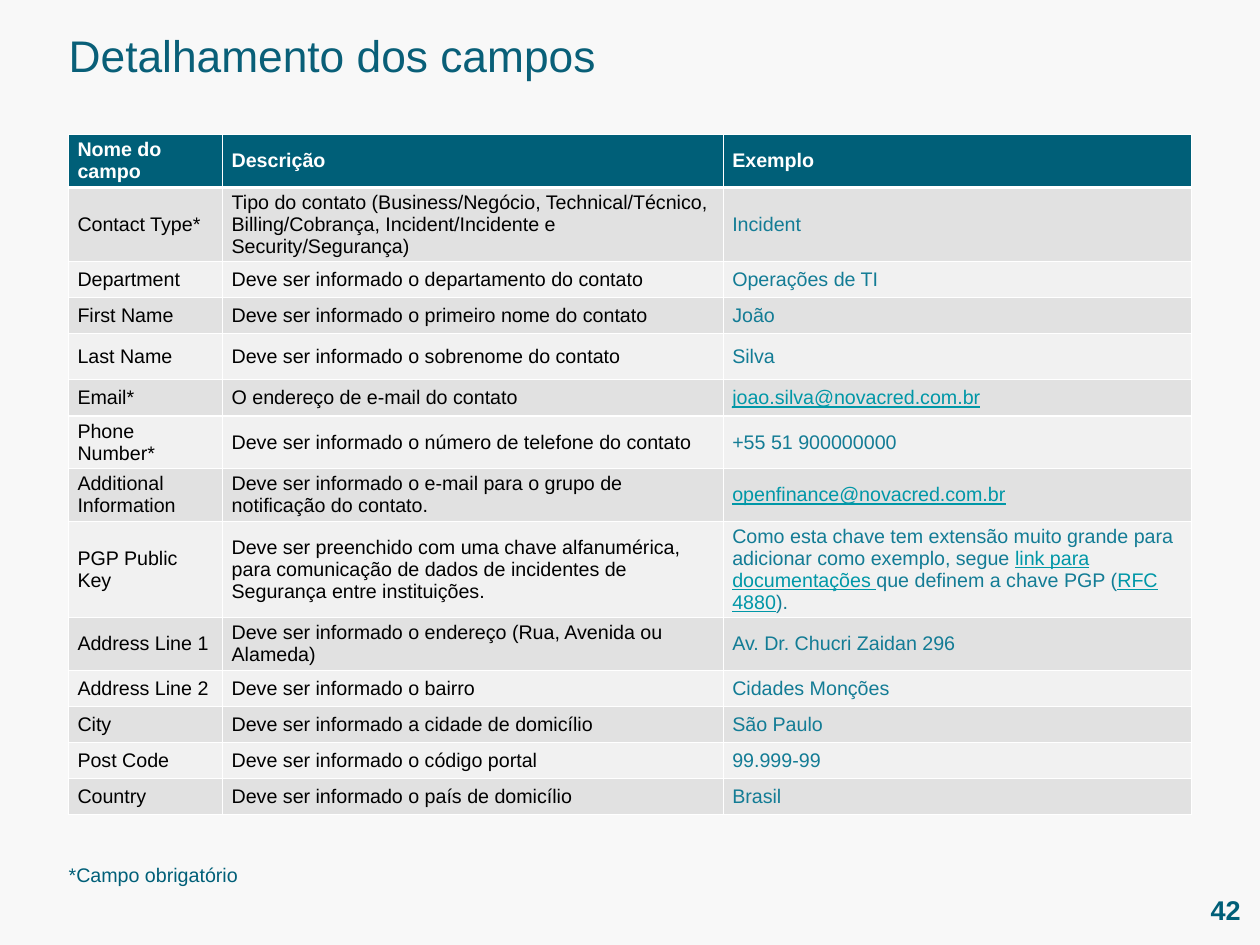
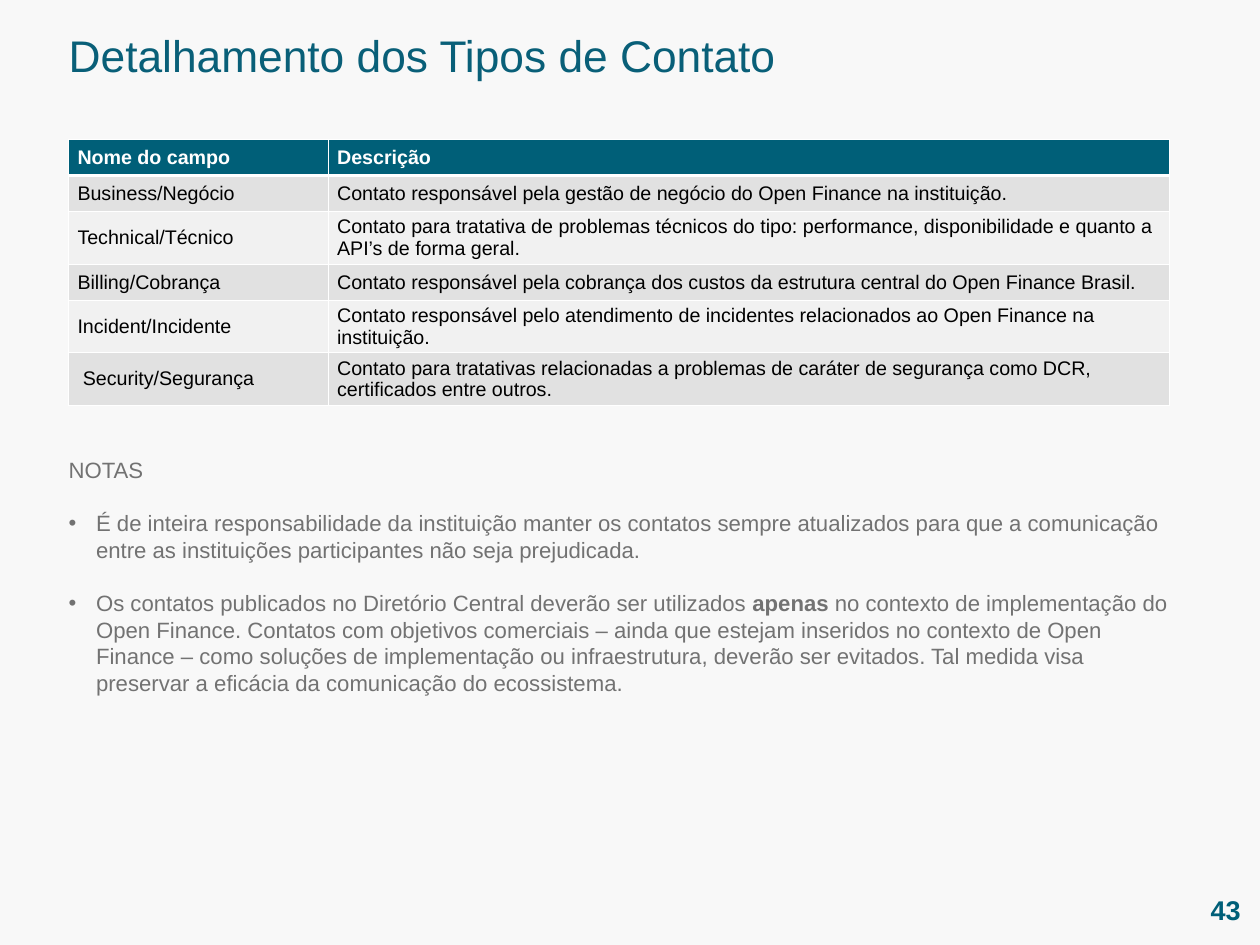
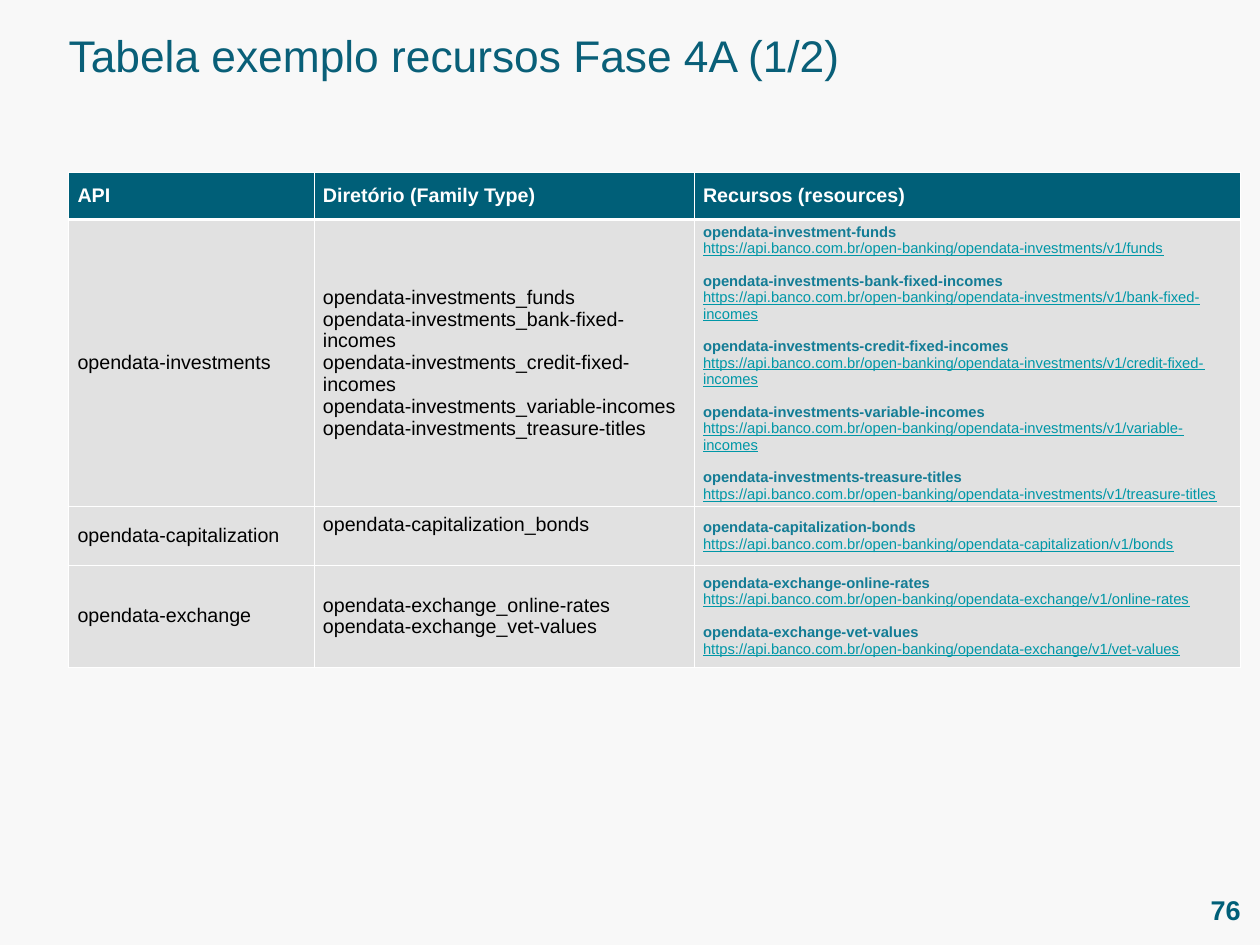
from dataclasses import dataclass

from lxml.etree import SubElement
from pptx import Presentation
from pptx.dml.color import RGBColor
from pptx.enum.text import MSO_ANCHOR as Anchor, PP_ALIGN as Align
from pptx.oxml.ns import qn
from pptx.util import Inches, Pt

SLIDE_WIDTH, SLIDE_HEIGHT = 14.22, 10.67
FONT = "Arial"
BACKGROUND, TITLE, PETROL, WHITE = "F8F8F8", "095F78", "005F78", "FFFFFF"
BLACK, TEAL, LINK, GRAY = "000000", "137C95", "0097A7", "727272"
BANDS = ("E1E1E1", "F1F1F1")
LEFT = 5.45  # shared left margin, percent of the slide width
ROW = 3.82  # usual table row, percent of the slide height
TALL_ROW = 4.87
CELL_LEADING = 1.11  # line height in tables, as a share of the text size


@dataclass
class Style:
    size: int
    color: str
    bold: bool = False
    underline: bool = False


TITLE_STYLE = Style(36, TITLE)
NUMBER_STYLE = Style(22, PETROL, bold=True)
FOOTNOTE_STYLE = Style(16, PETROL)
HEADER_STYLE = Style(16, WHITE, bold=True)
CELL_STYLE = Style(16, BLACK)
EXAMPLE_STYLE = Style(16, TEAL)
LINK_STYLE = Style(16, LINK, underline=True)
RESOURCE_STYLE = Style(12, TEAL, bold=True)
URL_STYLE = Style(12, LINK, underline=True)
NOTE_STYLE = Style(18, GRAY)
STRONG_NOTE_STYLE = Style(18, GRAY, bold=True)


@dataclass
class Box:
    """A region given in percent of the slide's width and height."""
    left: float
    top: float
    width: float
    height: float

    def lengths(self):
        return across(self.left), down(self.top), across(self.width), down(self.height)


def across(percent):
    return Inches(SLIDE_WIDTH * percent / 100)


def down(percent):
    return Inches(SLIDE_HEIGHT * percent / 100)


def rgb(color):
    return RGBColor.from_string(color)


# Text
def write(text_frame, paragraphs, style):
    """Each paragraph is a string or a list of (text, style) runs."""
    for index, content in enumerate(paragraphs):
        paragraph = text_frame.paragraphs[0] if index == 0 else text_frame.add_paragraph()
        runs = [(content, style)] if isinstance(content, str) else content
        for text, run_style in runs:
            run = paragraph.add_run()
            run.text = text
            font = run.font
            font.name, font.size = FONT, Pt(run_style.size)
            font.bold, font.underline = run_style.bold, run_style.underline
            font.color.rgb = rgb(run_style.color)


def add_text(slide, box, paragraphs, style, anchor=Anchor.TOP, align=Align.LEFT):
    text_frame = slide.shapes.add_textbox(*box.lengths()).text_frame
    text_frame.word_wrap = True
    text_frame.vertical_anchor = anchor
    text_frame.margin_left = text_frame.margin_right = 0
    text_frame.margin_top = text_frame.margin_bottom = 0
    write(text_frame, paragraphs, style)
    for paragraph in text_frame.paragraphs:
        paragraph.alignment = align
    return text_frame


def add_bullet(paragraph):
    properties = paragraph._p.get_or_add_pPr()
    indent = Inches(0.31)
    properties.set("marL", str(indent))
    properties.set("indent", str(-indent))
    SubElement(properties, qn("a:buFont"), typeface=FONT)
    SubElement(properties, qn("a:buChar"), char="•")


# Tables
def set_borders(cell, top, bottom):
    properties = cell._tc.get_or_add_tcPr()
    for side, width in (("L", 1), ("R", 1), ("T", top), ("B", bottom)):
        line = SubElement(properties, qn(f"a:ln{side}"), w=str(Pt(width)))
        fill = SubElement(line, qn("a:solidFill"))
        SubElement(fill, qn("a:srgbClr"), val=WHITE)


def add_grid(slide, box, column_weights, row_heights, rows, styles, bands=BANDS):
    """Place a table; its columns share the box width by weight."""
    frame = slide.shapes.add_table(len(rows), len(column_weights), *box.lengths())
    table = frame.table
    table.horz_banding = False
    for column, weight in zip(table.columns, column_weights):
        column.width = across(box.width * weight / sum(column_weights))
    for row, height in zip(table.rows, row_heights):
        row.height = down(height)
    for row_index, values in enumerate(rows):
        header = row_index == 0
        for column_index, value in enumerate(values):
            cell = table.cell(row_index, column_index)
            set_borders(cell, 3 if row_index == 1 else 1, 3 if header else 1)
            cell.fill.solid()
            cell.fill.fore_color.rgb = rgb(PETROL if header else bands[(row_index - 1) % len(bands)])
            cell.vertical_anchor = Anchor.MIDDLE
            paragraphs = [value] if isinstance(value, str) else value
            style = HEADER_STYLE if header else styles[column_index]
            write(cell.text_frame, paragraphs, style)
            for paragraph in cell.text_frame.paragraphs:
                paragraph.line_spacing = Pt(style.size * CELL_LEADING)
    return table


def table_box(top, width, row_heights):
    return Box(LEFT, top, width, sum(row_heights))


# Parts shared by every slide
def add_slide(presentation, title, number):
    slide = presentation.slides.add_slide(presentation.slide_layouts[6])
    slide.background.fill.solid()
    slide.background.fill.fore_color.rgb = rgb(BACKGROUND)
    add_text(slide, Box(LEFT, 3, 80, 5.72), [title], TITLE_STYLE)
    add_text(slide, Box(92.76, 94.1, 5.7, 4.4), [number], NUMBER_STYLE, Anchor.MIDDLE, Align.RIGHT)
    return slide


def build_fields(presentation):
    slide = add_slide(presentation, "Detalhamento dos campos", "42")
    key_example = [
        ("Como esta chave tem extensão muito grande para adicionar como exemplo, segue ", EXAMPLE_STYLE),
        ("link para documentações ", LINK_STYLE),
        ("que definem a chave PGP (", EXAMPLE_STYLE),
        ("RFC 4880", LINK_STYLE),
        (").", EXAMPLE_STYLE),
    ]
    rows = [
        ("Nome do campo", "Descrição", "Exemplo"),
        ("Contact Type*", "Tipo do contato (Business/Negócio, Technical/Técnico, Billing/Cobrança, "
         "Incident/Incidente e Security/Segurança)", "Incident"),
        ("Department", "Deve ser informado o departamento do contato", "Operações de TI"),
        ("First Name", "Deve ser informado o primeiro nome do contato", "João"),
        ("Last Name", "Deve ser informado o sobrenome do contato", "Silva"),
        ("Email*", "O endereço de e-mail do contato", [[("joao.silva@novacred.com.br", LINK_STYLE)]]),
        ("Phone Number*", "Deve ser informado o número de telefone do contato", "+55 51 900000000"),
        ("Additional Information", "Deve ser informado o e-mail para o grupo de notificação do contato.",
         [[("openfinance@novacred.com.br", LINK_STYLE)]]),
        ("PGP Public Key", "Deve ser preenchido com uma chave alfanumérica, para comunicação de dados "
         "de incidentes de Segurança entre instituições.", [key_example]),
        ("Address Line 1", "Deve ser informado o endereço (Rua, Avenida ou Alameda)",
         "Av. Dr. Chucri Zaidan 296"),
        ("Address Line 2", "Deve ser informado o bairro", "Cidades Monções"),
        ("City", "Deve ser informado a cidade de domicílio", "São Paulo"),
        ("Post Code", "Deve ser informado o código portal", "99.999-99"),
        ("Country", "Deve ser informado o país de domicílio", "Brasil"),
    ]
    heights = [ROW] * len(rows)
    heights[4] = TALL_ROW
    add_grid(slide, table_box(14.25, 89.1, heights), (1.74, 5.65, 5.28), heights, rows,
             (CELL_STYLE, CELL_STYLE, EXAMPLE_STYLE))
    add_text(slide, Box(LEFT, 90.35, 16, 4.4), ["*Campo obrigatório"], FOOTNOTE_STYLE, Anchor.MIDDLE)


def add_notes_block(slide, box):
    text_frame = add_text(slide, box, [
        "NOTAS",
        "É de inteira responsabilidade da instituição manter os contatos sempre atualizados para que a "
        "comunicação entre as instituições participantes não seja prejudicada.",
        [("Os contatos publicados no Diretório Central deverão ser utilizados ", NOTE_STYLE),
         ("apenas", STRONG_NOTE_STYLE),
         (" no contexto de implementação do Open Finance. Contatos com objetivos comerciais – ainda que "
          "estejam inseridos no contexto de Open Finance – como soluções de implementação ou "
          "infraestrutura, deverão ser evitados. Tal medida visa preservar a eficácia da comunicação "
          "do ecossistema.", NOTE_STYLE)],
    ], NOTE_STYLE)
    for paragraph in text_frame.paragraphs[1:]:
        paragraph.space_before = Pt(21.6)
        add_bullet(paragraph)


def build_contact_types(presentation):
    slide = add_slide(presentation, "Detalhamento dos Tipos de Contato", "43")
    rows = [
        ("Nome do campo", "Descrição"),
        ("Business/Negócio", "Contato responsável pela gestão de negócio do Open Finance na instituição."),
        ("Technical/Técnico", "Contato para tratativa de problemas técnicos do tipo: performance, "
         "disponibilidade e quanto a API’s de forma geral."),
        ("Billing/Cobrança", "Contato responsável pela cobrança dos custos da estrutura central do "
         "Open Finance Brasil."),
        ("Incident/Incidente", "Contato responsável pelo atendimento de incidentes relacionados ao "
         "Open Finance na instituição."),
        ("Security/Segurança", "Contato para tratativas relacionadas a problemas de caráter de segurança "
         "como DCR, certificados entre outros."),
    ]
    heights = [ROW] * len(rows)
    heights[4] = TALL_ROW
    table = add_grid(slide, table_box(14.75, 87.34, heights), (2.93, 9.49), heights, rows,
                     (CELL_STYLE, CELL_STYLE))
    table.cell(5, 0).margin_left = Inches(0.16)
    add_notes_block(slide, Box(LEFT, 48.33, 87.34, 28.4))


def resources(api, *entries):
    """Bold resource name over its address, for each (name, endpoint)."""
    address = f"https://api.banco.com.br/open-banking/{api}/v1/"
    return [line for name, endpoint in entries
            for line in (name, [(address + endpoint, URL_STYLE)])]


def build_resources(presentation):
    slide = add_slide(presentation, "Tabela exemplo recursos Fase 4A (1/2)", "76")
    investments, capitalization, exchange = (
        "opendata-investments", "opendata-capitalization", "opendata-exchange")
    funds, *others = ("funds", "bank-fixed-incomes", "credit-fixed-incomes",
                      "variable-incomes", "treasure-titles")
    rates = ("online-rates", "vet-values")
    rows = [
        ("API", "Diretório (Family Type)", "Recursos (resources)"),
        (investments, [f"{investments}_{name}" for name in (funds, *others)],
         resources(investments, ("opendata-investment-funds", funds),
                   *((f"{investments}-{name}", name) for name in others))),
        (capitalization, f"{capitalization}_bonds",
         resources(capitalization, (f"{capitalization}-bonds", "bonds"))),
        (exchange, [f"{exchange}_{name}" for name in rates],
         resources(exchange, *((f"{exchange}-{name}", name) for name in rates))),
    ]
    heights = (4.93, 28.49, 6.19, 10.78)
    table = add_grid(slide, table_box(18.28, 93.04, heights), (2.77, 4.29, 6.17), heights, rows,
                     (CELL_STYLE, CELL_STYLE, RESOURCE_STYLE), BANDS[:1])
    table.cell(2, 1).margin_bottom = Inches(0.3)
    # One line of space between resources
    for row_index in range(1, len(rows)):
        for paragraph in table.cell(row_index, 2).text_frame.paragraphs[2::2]:
            paragraph.space_before = Pt(RESOURCE_STYLE.size * CELL_LEADING)


def main():
    presentation = Presentation()
    presentation.slide_width = Inches(SLIDE_WIDTH)
    presentation.slide_height = Inches(SLIDE_HEIGHT)
    build_fields(presentation)
    build_contact_types(presentation)
    build_resources(presentation)
    presentation.save("out.pptx")


if __name__ == "__main__":
    main()
